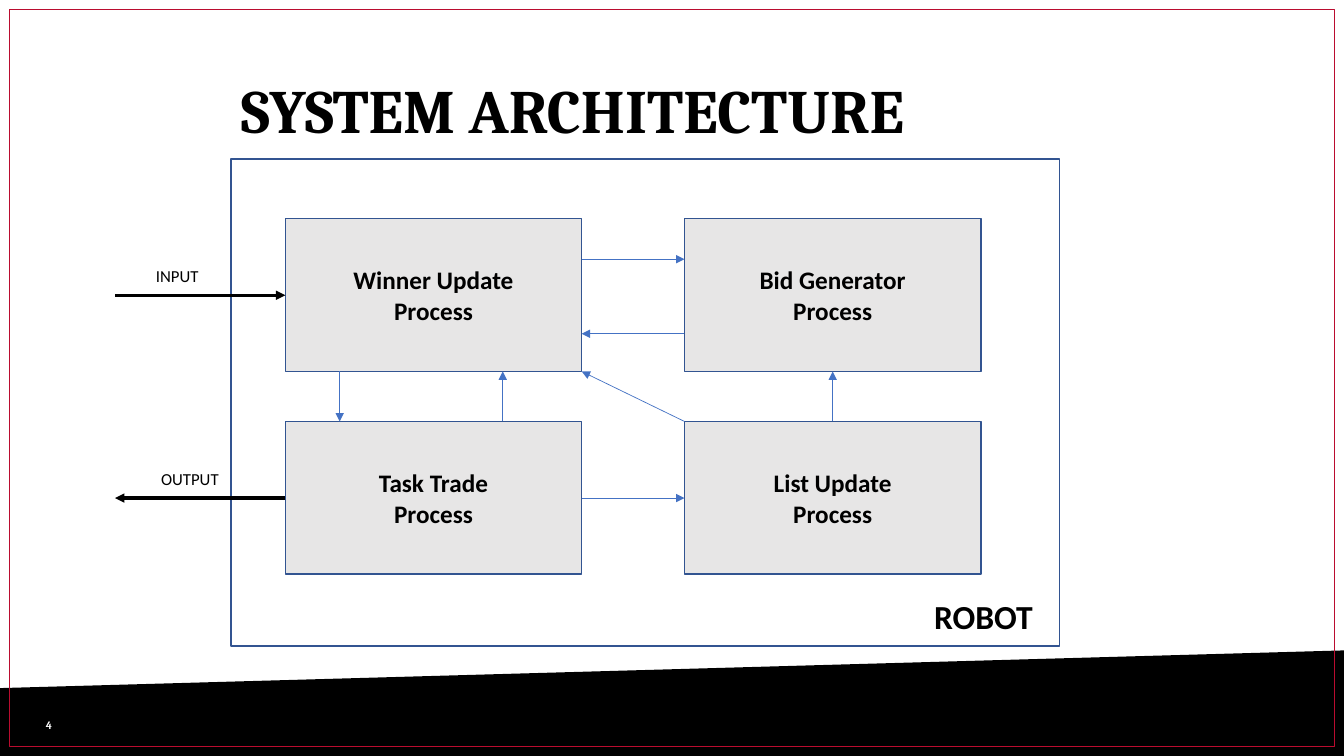
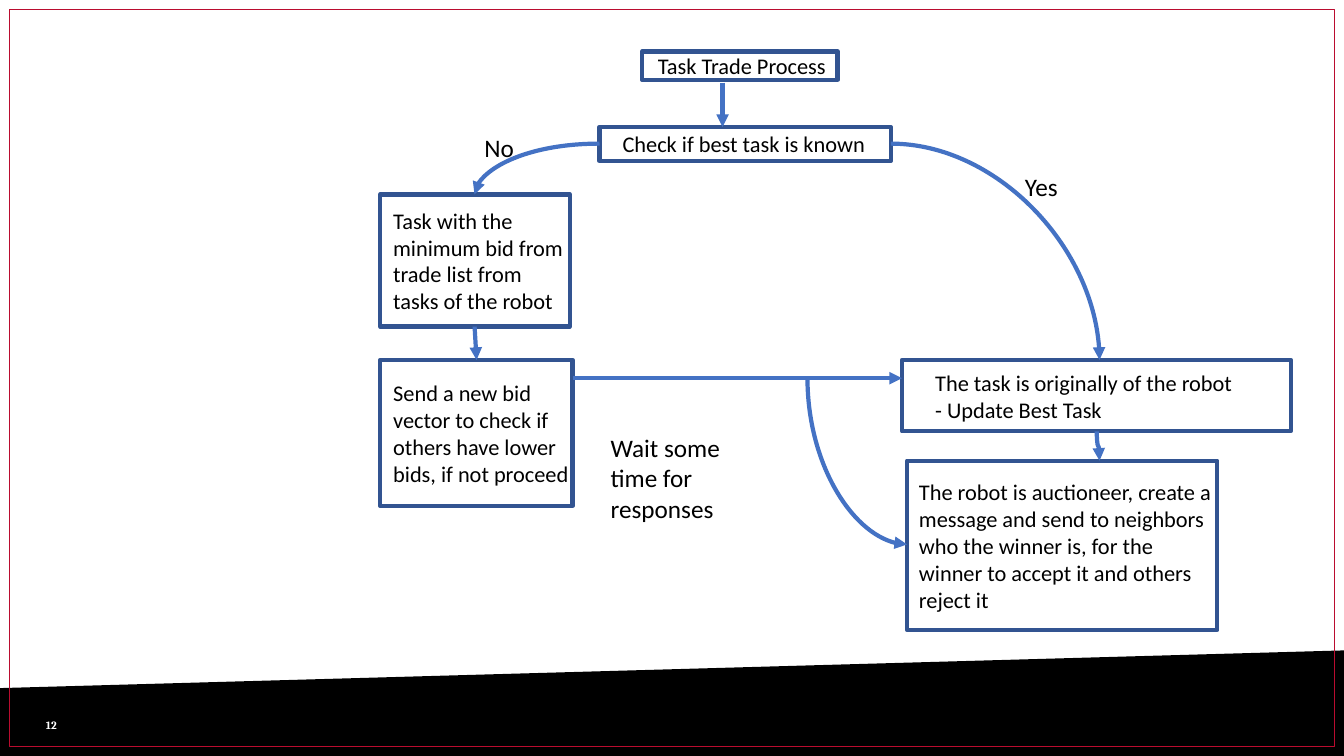
from lxml import etree
from pptx import Presentation
from pptx.dml.color import RGBColor
from pptx.enum.shapes import MSO_CONNECTOR as LINK, MSO_SHAPE as SHAPE
from pptx.enum.text import MSO_ANCHOR as ANCHOR, PP_ALIGN as ALIGN
from pptx.oxml.ns import qn
from pptx.util import Cm, Pt

# Shared look
WIDTH, HEIGHT = 33.87, 19.05
BLACK, WHITE, RED = "000000", "FFFFFF", "BA0C2F"
GREY, NAVY, BLUE = "E7E6E6", "325491", "4472C4"

BASE = {"name": "Calibri", "bold": False, "color": BLACK}
TITLE = {**BASE, "name": "Cambria", "size": 44, "bold": True}
NUMBER = {**TITLE, "size": 8, "color": WHITE}
PROCESS = {**BASE, "size": 18, "bold": True}
ROBOT = {**PROCESS, "size": 24}
PORT = {**BASE, "size": 12}
STEP = {**BASE, "size": 16}
ANSWER = {**BASE, "size": 18}


def rgb(color):
    return RGBColor.from_string(color)


def format_font(font, style):
    values = {**style, "size": Pt(style["size"])}
    font.color.rgb = rgb(values.pop("color"))
    for name, value in values.items():
        setattr(font, name, value)


def write(shape, text, style, align=ALIGN.LEFT, spacing=1.0, **frame_format):
    """Fill a shape with text, one paragraph per line."""
    frame = shape.text_frame
    frame.text = text
    for name, value in {"word_wrap": True, **frame_format}.items():
        setattr(frame, name, value)
    for paragraph in frame.paragraphs:
        paragraph.alignment = align
        paragraph.line_spacing = spacing
        format_font(paragraph.font, style)


def add_text(slide, box, text, style, **text_format):
    shape = slide.shapes.add_textbox(*map(Cm, box))
    write(shape, text, style, **text_format)


def add_box(slide, box, line, weight, fill=None):
    shape = slide.shapes.add_shape(SHAPE.RECTANGLE, *map(Cm, box))
    shape.shadow.inherit = False
    shape.line.color.rgb = rgb(line)
    shape.line.width = Pt(weight)
    if fill:
        shape.fill.solid()
        shape.fill.fore_color.rgb = rgb(fill)
    else:
        shape.fill.background()
    return shape


def add_arrow(slide, start, end, color, weight, kind=LINK.STRAIGHT):
    arrow = slide.shapes.add_connector(kind, *map(Cm, (*start, *end)))
    arrow.line.color.rgb = rgb(color)
    arrow.line.width = Pt(weight)
    line = arrow.line._get_or_add_ln()
    etree.SubElement(line, qn("a:tailEnd"), type="triangle")
    etree.SubElement(arrow._element.spPr, qn("a:effectLst"))
    return arrow


def add_curve(slide, start, end, preset, downward=False):
    """Curve that leaves sideways, or downward by a quarter turn of its box."""
    if downward:
        (x1, y1), (x2, y2) = start, end
        middle_x, middle_y = (x1 + x2) / 2, (y1 + y2) / 2
        half_width, half_height = (y2 - y1) / 2, (x2 - x1) / 2
        start = middle_x + half_width, middle_y - half_height
        end = middle_x - half_width, middle_y + half_height
    curve = add_arrow(slide, start, end, BLUE, 3, LINK.CURVE)
    properties = curve._element.spPr
    properties.find(qn("a:prstGeom")).set("prst", preset)
    if downward:
        properties.find(qn("a:xfrm")).set("rot", str(270 * 60000))


def add_slide(presentation, number):
    """Blank slide with the slanted band, the border and the number."""
    slide = presentation.slides.add_slide(presentation.slide_layouts[6])
    outline = slide.shapes.build_freeform(Cm(0), Cm(17.34))
    corners = [(WIDTH, 16.39), (WIDTH, HEIGHT), (0, HEIGHT)]
    outline.add_line_segments([(Cm(x), Cm(y)) for x, y in corners])
    band = outline.convert_to_shape()
    band.shadow.inherit = False
    band.fill.solid()
    band.fill.fore_color.rgb = rgb(BLACK)
    band.line.fill.background()
    add_box(slide, (0.23, 0.23, 33.4, 18.82 - 0.23 + 0.23), RED, 0.75).height = Cm(18.59)
    add_text(slide, (0.91, 17.75, 1.57, 1.02), number, NUMBER,
             vertical_anchor=ANCHOR.MIDDLE)
    return slide


def build_architecture(presentation):
    slide = add_slide(presentation, "4")
    add_text(slide, (5.82, 1.02, 25.73, 3.68), "SYSTEM ARCHITECTURE", TITLE,
             spacing=0.9, vertical_anchor=ANCHOR.MIDDLE)

    # Two by two grid of processes
    left, top, width, height = 7.19, 5.51, 7.47, 3.85
    column_step, row_step = 10.06, 5.11
    grid = [["Winner Update", "Bid Generator"], ["Task Trade", "List Update"]]
    for row, names in enumerate(grid):
        for column, name in enumerate(names):
            box = (left + column * column_step, top + row * row_step, width, height)
            shape = add_box(slide, box, NAVY, 1, GREY)
            write(shape, f"{name}\nProcess", PROCESS, ALIGN.CENTER,
                  vertical_anchor=ANCHOR.MIDDLE)

    # Robot frame
    add_box(slide, (5.82, 4.01, 20.88, 12.27), NAVY, 1)
    add_text(slide, (23.29, 14.88, 3.4, 1.27), "ROBOT", ROBOT)

    # Input and output
    outside, input_y, output_y = 2.9, 7.44, 12.55
    add_arrow(slide, (outside, input_y), (left, input_y), BLACK, 2.25)
    add_arrow(slide, (left, output_y), (outside, output_y), BLACK, 2.25)
    add_text(slide, (3.81, 11.68, 3.99, 0.76), "OUTPUT", PORT)
    add_text(slide, (3.68, 6.58, 3.99, 0.76), "INPUT", PORT)

    # Links between processes
    right, second = left + width, left + column_step
    bottom, lower = top + height, top + row_step
    bid_middle = second + width / 2
    for start, end in [
        ((right, 6.53), (second, 6.53)),
        ((second, 8.41), (right, 8.41)),
        ((8.56, bottom), (8.56, lower)),
        ((12.67, lower), (12.67, bottom)),
        ((right, output_y), (second, output_y)),
        ((bid_middle, lower), (bid_middle, bottom)),
        ((second, lower), (right, bottom)),
    ]:
        add_arrow(slide, start, end, BLUE, 0.5)


def build_task_trade(presentation):
    slide = add_slide(presentation, "12")

    # Steps: box, left inset, text
    for box, inset, text in [
        ((16.18, 1.3, 4.93, 0.71), 0.4, "Task Trade Process"),
        ((15.11, 3.2, 7.34, 0.86), 0.58, "Check if best task is known"),
        ((9.58, 4.9, 4.78, 3.33), 0.33,
         "Task with the minimum bid from trade list from tasks of the robot"),
        ((9.58, 9.07, 4.85, 3.68), 0.33,
         "Send a new bid vector to check if others have lower bids, "
         "if not proceed"),
        ((22.73, 9.07, 9.8, 1.8), 0.84,
         "The task is originally of the robot\n- Update Best Task"),
        ((22.86, 11.61, 7.82, 4.27), 0.3,
         "The robot is auctioneer, create a message and send to neighbors "
         "who the winner is, for the winner to accept it and others reject it"),
    ]:
        write(add_box(slide, box, NAVY, 3), text, STEP,
              vertical_anchor=ANCHOR.MIDDLE, margin_left=Cm(inset),
              margin_right=0, margin_top=0, margin_bottom=0)

    # Curved links
    bend, wave = "curvedConnector2", "curvedConnector3"
    add_curve(slide, (15.11, 3.62), (11.96, 4.9), bend)
    add_curve(slide, (22.45, 3.62), (27.71, 9.07), bend)
    add_curve(slide, (27.64, 10.87), (27.71, 11.61), wave, downward=True)
    add_curve(slide, (20.35, 9.53), (22.86, 13.72), bend, downward=True)

    # Straight links
    for start, end in [
        ((14.43, 9.53), (22.73, 9.53)),
        ((11.96, 8.23), (12.01, 9.07)),
        ((18.21, 2.08), (18.21, 3.2)),
    ]:
        add_arrow(slide, start, end, BLUE, 3)

    # Labels of the links
    for box, text in [
        ((11.96, 3.2, 1.3, 1.02), "No"),
        ((25.58, 4.19, 1.4, 1.02), "Yes"),
        ((15.14, 10.77, 3.91, 2.57), "Wait some time for responses"),
    ]:
        add_text(slide, box, text, ANSWER)


def main():
    presentation = Presentation()
    presentation.slide_width = Cm(WIDTH)
    presentation.slide_height = Cm(HEIGHT)
    build_architecture(presentation)
    build_task_trade(presentation)
    presentation.save("out.pptx")


if __name__ == "__main__":
    main()
